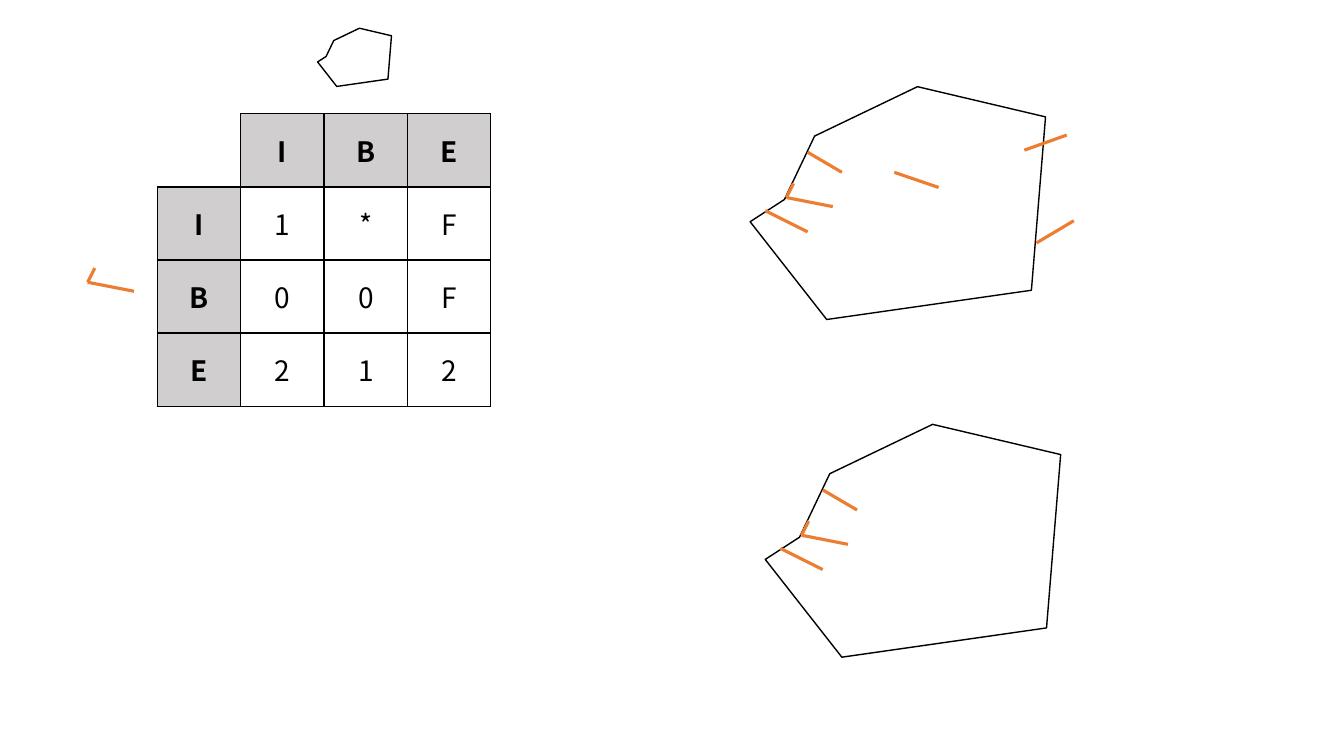
from lxml.etree import SubElement
from pptx import Presentation
from pptx.dml.color import RGBColor
from pptx.enum.shapes import MSO_CONNECTOR as CONN
from pptx.enum.text import MSO_ANCHOR as ANCHOR, PP_ALIGN as ALIGN
from pptx.oxml.ns import qn
from pptx.util import Inches, Pt

COLORS = {"black": "000000", "orange": "ED7D31", "gray": "D0CECE", "white": "FFFFFF"}
FONT = "Noto Sans CJK SC"

POLYGON = [(0, 1.34), (0.34, 1.12), (0.64, 0.49), (1.66, 0),
           (2.93, 0.3), (2.79, 2.02), (0.76, 2.31)]
BOUNDARY_LINES = [((0.15, 1.23), (0.57, 1.44)), ((0.57, 0.65), (0.91, 0.85))]
OTHER_LINES = [((1.43, 0.85), (1.87, 1.0)), ((2.84, 1.55), (3.21, 1.33)),
               ((2.72, 0.63), (3.14, 0.48))]
HOOK = [((0, 0), (0.46, 0.09)), ((0, 0), (0.07, -0.14))]
HOOK_IN_POLYGON = (0.36, 1.1)
MATRIX = [["", "I", "B", "E"],
          ["I", "1", "*", "F"],
          ["B", "0", "0", "F"],
          ["E", "2", "1", "2"]]


def rgb(name):
    return RGBColor.from_string(COLORS[name])


def add_polygon(shapes, left, top, scale=1):
    points = [(Inches(left + x * scale), Inches(top + y * scale)) for x, y in POLYGON]
    builder = shapes.build_freeform(*points[0])
    builder.add_line_segments(points[1:], close=True)
    sp = builder.convert_to_shape()
    sp.shadow.inherit = False
    sp.fill.background()
    sp.line.color.rgb = rgb("black")
    sp.line.width = Pt(1)


def add_lines(shapes, left, top, lines):
    for (x1, y1), (x2, y2) in lines:
        line = shapes.add_connector(CONN.STRAIGHT, Inches(left + x1), Inches(top + y1),
                                    Inches(left + x2), Inches(top + y2))
        line.line.color.rgb = rgb("orange")
        line.line.width = Pt(2.25)
        SubElement(line._element.spPr, qn("a:effectLst"))


def add_hook_in_polygon(shapes, left, top):
    dx, dy = HOOK_IN_POLYGON
    add_lines(shapes, left + dx, top + dy, HOOK)


def set_borders(cell, hidden=()):
    tc_pr = cell._tc.get_or_add_tcPr()
    for index, side in enumerate(("lnL", "lnR", "lnT", "lnB")):
        ln = tc_pr.makeelement(qn(f"a:{side}"), {"w": str(Pt(1))})
        if side in hidden:
            SubElement(ln, qn("a:noFill"))
        else:
            fill = SubElement(ln, qn("a:solidFill"))
            SubElement(fill, qn("a:srgbClr"), val=COLORS["black"])
        tc_pr.insert(index, ln)


def fill_cell(cell, text, header):
    cell.fill.solid()
    cell.fill.fore_color.rgb = rgb("gray" if header else "white")
    cell.vertical_anchor = ANCHOR.MIDDLE
    cell.margin_left = cell.margin_right = Inches(0.08)
    cell.margin_top = cell.margin_bottom = Inches(0.04)
    p = cell.text_frame.paragraphs[0]
    p.text = text
    p.alignment = ALIGN.CENTER
    p.font.name = FONT
    p.font.size = Pt(20)
    p.font.bold = header
    p.font.color.rgb = rgb("black")
    set_borders(cell)


def add_matrix(shapes, left, top, width, height):
    size = len(MATRIX)
    table = shapes.add_table(size, size, Inches(left), Inches(top),
                             Inches(width), Inches(height)).table
    table.first_row = table.horz_banding = False
    for r, row in enumerate(MATRIX):
        for c, text in enumerate(row):
            cell = table.cell(r, c)
            if text:
                fill_cell(cell, text, r == 0 or c == 0)
            else:
                cell.fill.background()
                set_borders(cell, hidden=("lnL", "lnT"))


def main():
    prs = Presentation()
    prs.slide_width, prs.slide_height = Inches(13.33), Inches(7.5)
    shapes = prs.slides.add_slide(prs.slide_layouts[6]).shapes

    upper = (7.44, 0.86)
    group = shapes.add_group_shape().shapes
    add_polygon(group, *upper)
    add_lines(group, *upper, BOUNDARY_LINES + OTHER_LINES)

    add_polygon(shapes, 3.15, 0.28, scale=0.25)
    add_matrix(shapes, 1.56, 1.13, 3.31, 2.9)
    add_hook_in_polygon(shapes, *upper)
    add_lines(shapes, 0.87, 2.8, HOOK)

    lower = (7.59, 4.21)
    add_polygon(shapes, *lower)
    add_lines(shapes, *lower, BOUNDARY_LINES)
    add_hook_in_polygon(shapes, *lower)

    prs.save("out.pptx")


if __name__ == "__main__":
    main()
